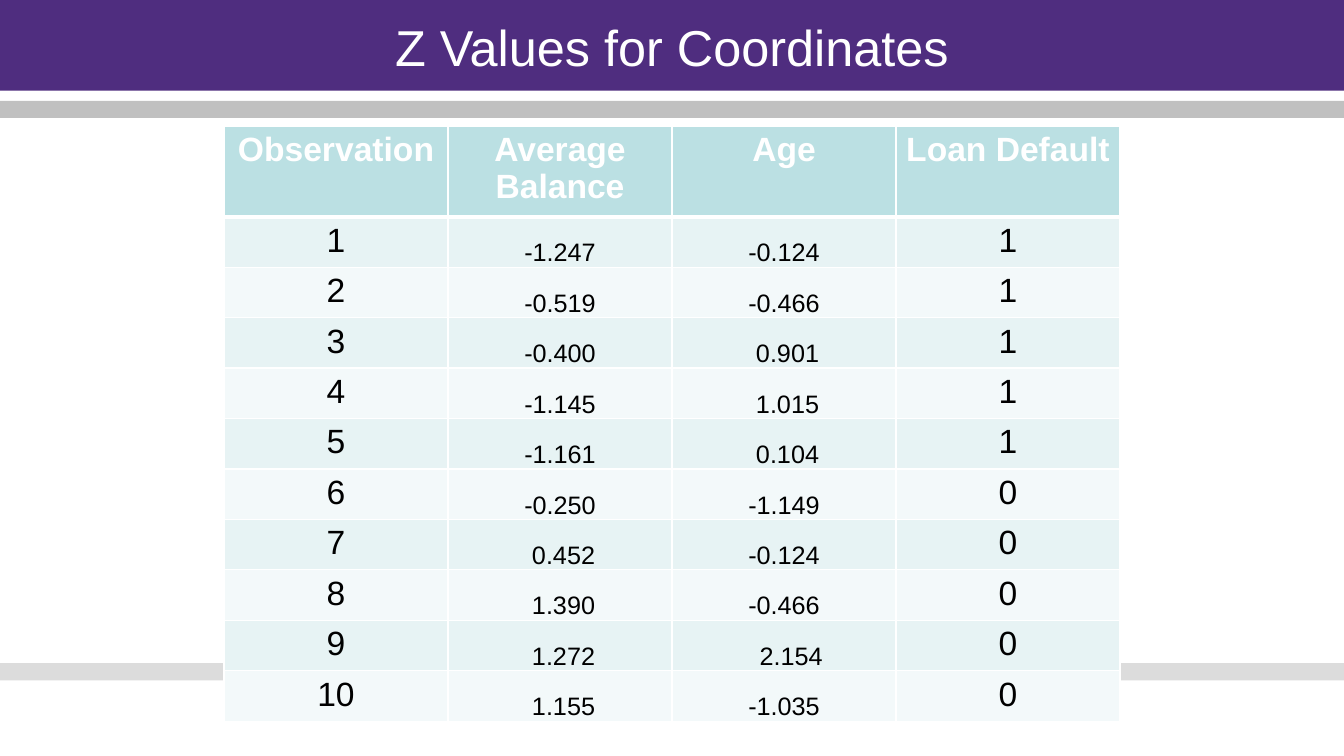
from lxml import etree
from pptx import Presentation
from pptx.dml.color import RGBColor
from pptx.enum.shapes import MSO_SHAPE
from pptx.enum.text import MSO_ANCHOR, PP_ALIGN
from pptx.oxml.ns import qn
from pptx.util import Inches, Pt

RECTANGLE = MSO_SHAPE.RECTANGLE
CENTER = PP_ALIGN.CENTER
TOP, MIDDLE, BOTTOM = MSO_ANCHOR.TOP, MSO_ANCHOR.MIDDLE, MSO_ANCHOR.BOTTOM

COLORS = {
    "purple": "4F2D7F", "gray": "C0C0C0", "white": "FFFFFF", "black": "000000",
    "header": "BBE0E3", "odd": "E7F3F4", "even": "F3F9FA",
}
FONT = "Arial"
WIDTH, HEIGHT = 13.33, 7.5
HEADINGS = ["Observation", "Average Balance", "Age", "Loan Default"]
Z_VALUES = [
    ("-1.247", "-0.124", "1"), ("-0.519", "-0.466", "1"),
    ("-0.400", "0.901", "1"), ("-1.145", "1.015", "1"),
    ("-1.161", "0.104", "1"), ("-0.250", "-1.149", "0"),
    ("0.452", "-0.124", "0"), ("1.390", "-0.466", "0"),
    ("1.272", "2.154", "0"), ("1.155", "-1.035", "0"),
]


def style_text(paragraph, size, color, bold=False):
    paragraph.alignment = CENTER
    font = paragraph.runs[0].font
    font.name, font.size, font.bold = FONT, Pt(size), bold
    font.color.rgb = RGBColor.from_string(COLORS[color])


def add_border(cell, side, points):
    line = etree.SubElement(cell._tc.get_or_add_tcPr(), qn(f"a:ln{side}"), w=str(Pt(points)))
    fill = etree.SubElement(line, qn("a:solidFill"))
    etree.SubElement(fill, qn("a:srgbClr"), val=COLORS["white"])


prs = Presentation()
prs.slide_width, prs.slide_height = Inches(WIDTH), Inches(HEIGHT)
slide = prs.slides.add_slide(prs.slide_layouts[6])

# Title band and the two gray stripes: top, height, color, opacity in percent
for top, height, color, opacity in [
    (0, 0.9, "purple", 100), (1, 0.17, "gray", 100), (6.58, 0.17, "gray", 54),
]:
    band = slide.shapes.add_shape(RECTANGLE, 0, Inches(top), Inches(WIDTH), Inches(height))
    band.shadow.inherit = False
    band.fill.solid()
    band.fill.fore_color.rgb = RGBColor.from_string(COLORS[color])
    band.line.fill.background()
    if opacity < 100:
        tint = band._element.spPr.find(qn("a:solidFill"))[0]
        etree.SubElement(tint, qn("a:alpha"), val=str(opacity * 1000))

# Title
title = slide.shapes.add_textbox(Inches(0.08), Inches(0.08), Inches(WIDTH - 0.16), Inches(0.75))
title.text_frame.word_wrap = True
title.text_frame.vertical_anchor = MIDDLE
title.text_frame.text = "Z Values for Coordinates"
style_text(title.text_frame.paragraphs[0], 36, "white")

# Table of z values, four columns over the middle two thirds of the slide
rows = [HEADINGS] + [(str(n), *values) for n, values in enumerate(Z_VALUES, 1)]
header_height, row_height = 0.83, 0.47
table = slide.shapes.add_table(
    len(rows), len(HEADINGS), Inches(WIDTH / 6), Inches(1.25), Inches(WIDTH * 2 / 3),
    Inches(header_height + row_height * len(Z_VALUES))).table
for column in table.columns:
    column.width = Inches(WIDTH / 6)

for r, row in enumerate(rows):
    table.rows[r].height = Inches(row_height if r else header_height)
    for c, content in enumerate(row):
        cell = table.cell(r, c)
        is_z_value = r > 0 and c in (1, 2)
        cell.text_frame.text = content
        style_text(cell.text_frame.paragraphs[0], 18 if is_z_value else 24,
                   "black" if r else "white", bold=r == 0)
        cell.vertical_anchor = BOTTOM if is_z_value else TOP
        if is_z_value:
            # Positive values shift right to line up with the signed ones
            shift = 0 if content.startswith("-") else 0.14 if content == "2.154" else 0.07
            cell.margin_left = Inches(shift)
            cell.margin_right = cell.margin_top = cell.margin_bottom = 0
        for side, points in [("L", 1), ("R", 1), ("T", 3 if r == 1 else 1),
                             ("B", 3 if r == 0 else 1)]:
            add_border(cell, side, points)
        cell.fill.solid()
        shade = "header" if r == 0 else "odd" if r % 2 else "even"
        cell.fill.fore_color.rgb = RGBColor.from_string(COLORS[shade])

prs.save("out.pptx")
